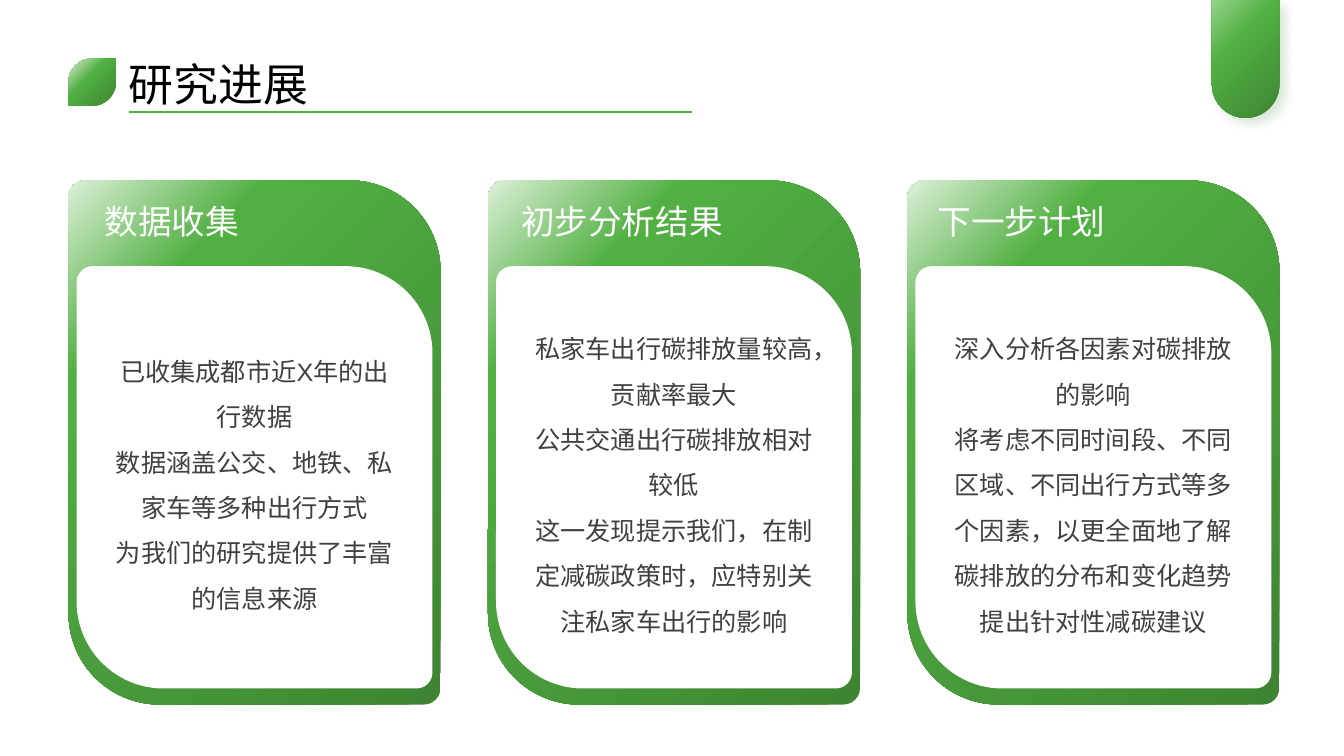
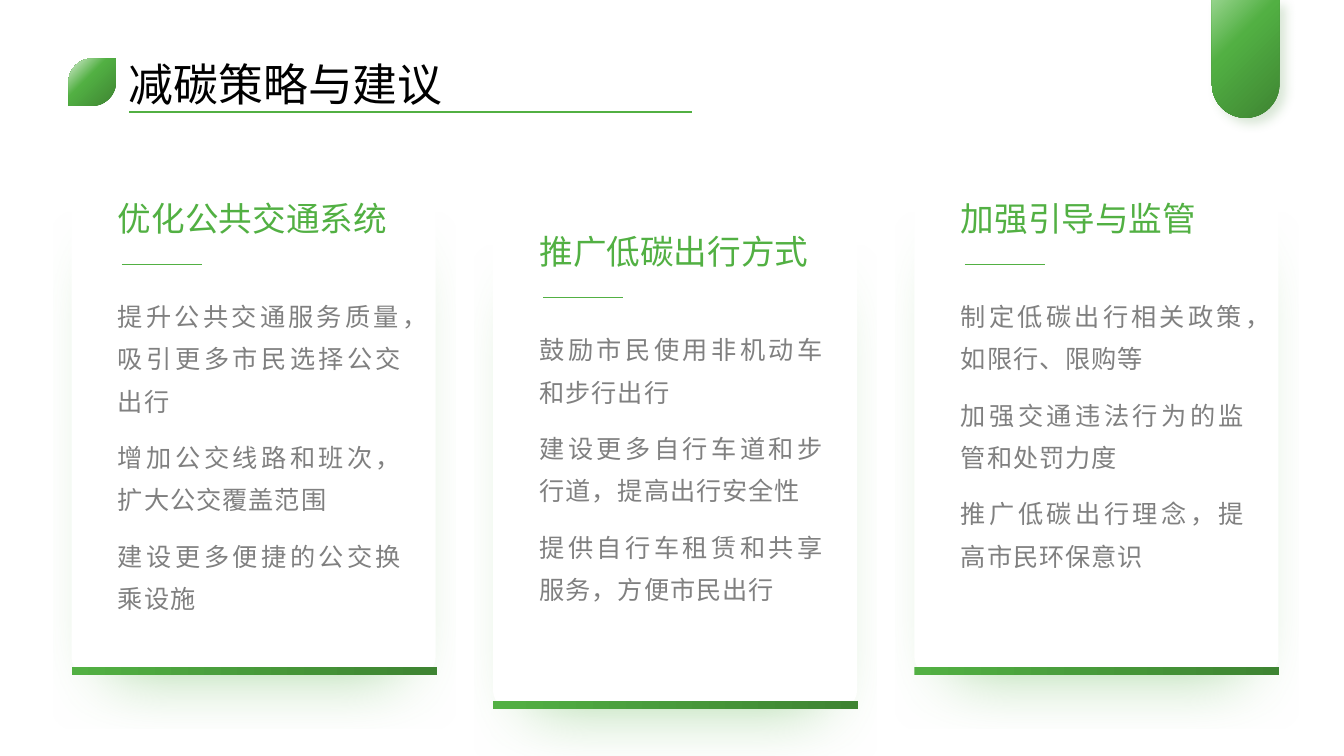
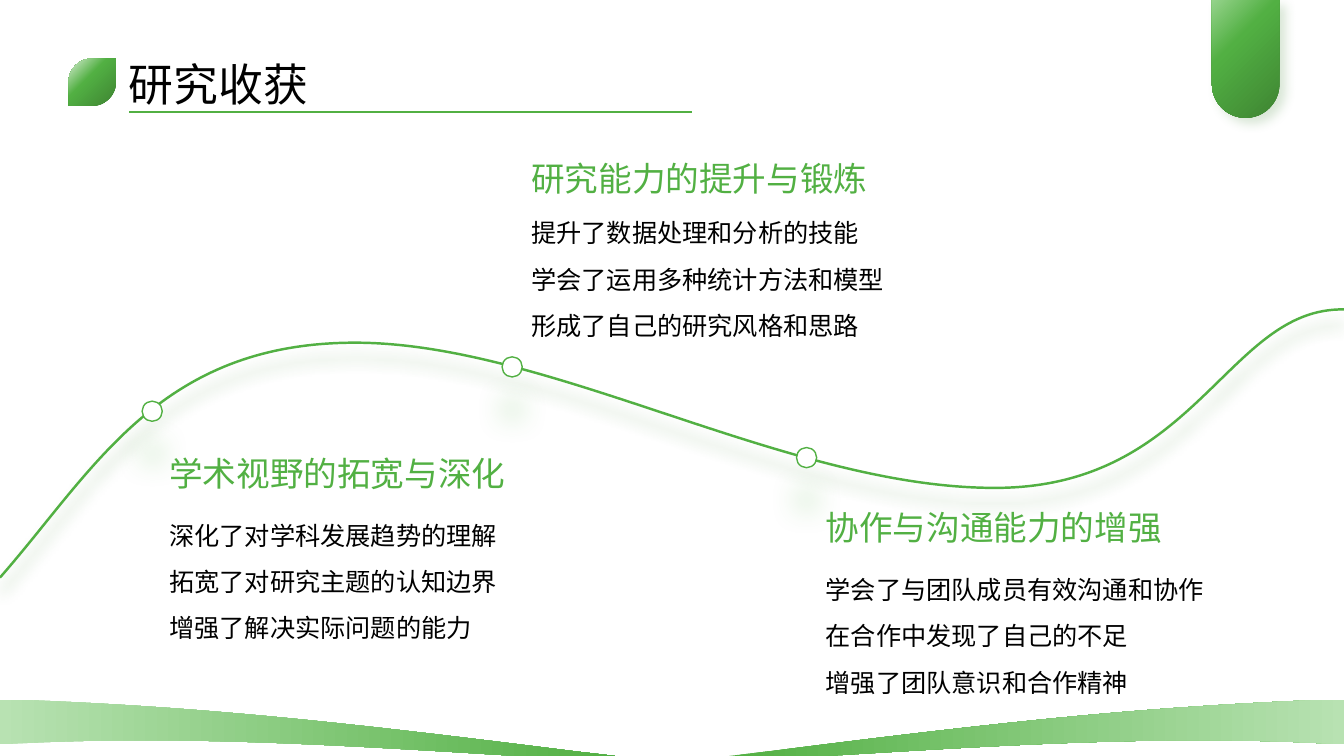
import pptx
import pptx.util
import pptx.dml.color
import pptx.enum.lang
import pptx.enum.shapes
import pptx.enum.text
import pptx.oxml
from pptx.oxml.ns import nsdecls, qn

Inches, Pt = pptx.util.Inches, pptx.util.Pt
SHAPE = pptx.enum.shapes.MSO_SHAPE
ALIGN = pptx.enum.text.PP_ALIGN
ANCHOR = pptx.enum.text.MSO_ANCHOR

FONT = "Arial"
SLIDE_W, SLIDE_H = 13.33, 7.5
COLORS = {
    "green": "52B043", "dark": "3E8432", "pale": "DCF0D8", "light": "95D38B",
    "mist": "B8E2B2", "white": "FFFFFF", "black": "000000",
    "body": "404040", "grey": "808080",
}

PROGRESS = ("研究进展", [
    ("数据收集", ["已收集成都市近X年的出行数据",
              "数据涵盖公交、地铁、私家车等多种出行方式",
              "为我们的研究提供了丰富的信息来源"]),
    ("初步分析结果", ["私家车出行碳排放量较高，贡献率最大",
                "公共交通出行碳排放相对较低",
                "这一发现提示我们，在制定减碳政策时，应特别关注私家车出行的影响"]),
    ("下一步计划", ["深入分析各因素对碳排放的影响",
               "将考虑不同时间段、不同区域、不同出行方式等多个因素，"
               "以更全面地了解碳排放的分布和变化趋势",
               "提出针对性减碳建议"]),
])
STRATEGY = ("减碳策略与建议", [
    ("优化公共交通系统", ["提升公共交通服务质量，吸引更多市民选择公交出行",
                  "增加公交线路和班次，扩大公交覆盖范围",
                  "建设更多便捷的公交换乘设施"]),
    ("推广低碳出行方式", ["鼓励市民使用非机动车和步行出行",
                  "建设更多自行车道和步行道，提高出行安全性",
                  "提供自行车租赁和共享服务，方便市民出行"]),
    ("加强引导与监管", ["制定低碳出行相关政策，如限行、限购等",
                 "加强交通违法行为的监管和处罚力度",
                 "推广低碳出行理念，提高市民环保意识"]),
])
# heading, lines, left, heading top, body top
GAINS = ("研究收获", [
    ("学术视野的拓宽与深化", ["深化了对学科发展趋势的理解", "拓宽了对研究主题的认知边界",
                    "增强了解决实际问题的能力"], 1.58, 4.44, 5.02),
    ("协作与沟通能力的增强", ["学会了与团队成员有效沟通和协作", "在合作中发现了自己的不足",
                    "增强了团队意识和合作精神"], 8.09, 4.98, 5.56),
    ("研究能力的提升与锻炼", ["提升了数据处理和分析的技能", "学会了运用多种统计方法和模型",
                    "形成了自己的研究风格和思路"], 5.17, 1.52, 2.02),
])
# x, dot centre, far and near end of the fading stem
MILESTONES = [(8, 4.54, 5.28, 4.62), (5.08, 3.64, 2.9, 3.56), (1.51, 4.08, 4.81, 4.16)]

# Outlines: a pair is a straight step, a triple of pairs is a Bézier step
JOURNEY = [(0, 5.73),
           ((0.93, 4.67), (1.57, 3.41), (3.5, 3.4)),
           ((5.43, 3.39), (7.76, 4.82), (9.82, 4.84)),
           ((11.87, 4.87), (12.16, 3.05), (13.33, 3.07))]
WAVE = [(0, 6.94), (0.15, 6.94),
        ((1.95, 7.01), (3.3, 7.15), (5.67, 7.45)),
        (6.1, 7.5), (5.15, 7.5), (4.96, 7.49),
        ((3.33, 7.39), (1.7, 7.29), (0.11, 7.38)), (0, 7.38)]


def rgb(name):
    return pptx.dml.color.RGBColor.from_string(COLORS[name])


def gradient(sp, stops, radial=True):
    """Fill with (percent, colour) stops, from the top left corner or left to right."""
    marks = "".join(
        f'<a:gs pos="{pos * 1000}"><a:srgbClr val="{COLORS[c]}"/></a:gs>' for pos, c in stops)
    way = ('<a:path path="circle"><a:fillToRect r="100000" b="100000"/></a:path>'
           if radial else '<a:lin ang="0" scaled="0"/>')
    sp.fill.background()
    spPr = sp._element.spPr
    spPr.replace(spPr.find(qn("a:noFill")), pptx.oxml.parse_xml(
        f'<a:gradFill {nsdecls("a")} rotWithShape="1"><a:gsLst>{marks}</a:gsLst>{way}</a:gradFill>'))


def cast_shadow(sp, color, alpha, blur, dist, angle, scale=100):
    sp._element.spPr.find(qn("a:effectLst")).append(pptx.oxml.parse_xml(
        f'<a:outerShdw {nsdecls("a")} blurRad="{Pt(blur)}" dist="{Pt(dist)}" dir="{angle * 60000}" '
        f'sx="{scale * 1000}" sy="{scale * 1000}" algn="ctr" rotWithShape="0">'
        f'<a:srgbClr val="{COLORS[color]}"><a:alpha val="{alpha * 1000}"/></a:srgbClr></a:outerShdw>'))


def paint(sp, fill=None, line=None, width=1):
    """Fill with a colour name or a list of radial stops; no line unless named."""
    sp.shadow.inherit = False
    if isinstance(fill, list):
        gradient(sp, fill)
    elif fill:
        sp.fill.solid()
        sp.fill.fore_color.rgb = rgb(fill)
    else:
        sp.fill.background()
    if line:
        sp.line.color.rgb = rgb(line)
        sp.line.width = Pt(width)
    else:
        sp.line.fill.background()
    return sp


def add_shape(s, kind, x, y, w, h, fill, adj=(), **line):
    sp = s.shapes.add_shape(kind, Inches(x), Inches(y), Inches(w), Inches(h))
    for i, value in enumerate(adj):
        sp.adjustments[i] = value
    return paint(sp, fill, **line)


def add_line(s, x1, y1, x2, y2, width):
    line = s.shapes.add_connector(pptx.enum.shapes.MSO_CONNECTOR.STRAIGHT,
                                  Inches(x1), Inches(y1), Inches(x2), Inches(y2))
    line.line.color.rgb = rgb("green")
    line.line.width = Pt(width)
    line._element.spPr.append(pptx.oxml.parse_xml(f'<a:effectLst {nsdecls("a")}/>'))
    return line


def fade(line):
    """Let a vertical line run from clear at its start to green at its end."""
    ln = line._element.spPr.find(qn("a:ln"))
    green = COLORS["green"]
    ln.replace(ln.find(qn("a:solidFill")), pptx.oxml.parse_xml(
        f'<a:gradFill {nsdecls("a")}><a:gsLst>'
        f'<a:gs pos="0"><a:srgbClr val="{green}"><a:alpha val="0"/></a:srgbClr></a:gs>'
        f'<a:gs pos="100000"><a:srgbClr val="{green}"/></a:gs>'
        f'</a:gsLst><a:lin ang="5400000" scaled="0"/></a:gradFill>'))


def is_curve(step):
    return isinstance(step[0], tuple)


def add_outline(s, steps, closed):
    """Build a freeform through all points, then join each curve's three steps."""
    points = [p for step in steps for p in (step if is_curve(step) else (step,))]
    emu = [(Inches(x), Inches(y)) for x, y in points]
    builder = s.shapes.build_freeform(*emu[0], scale=1.0)
    builder.add_line_segments(emu[1:], close=closed)
    sp = builder.convert_to_shape()
    lines = iter(list(sp._element.iter(qn("a:lnTo"))))
    for step in steps[1:]:
        first = next(lines)
        if is_curve(step):
            curve = pptx.oxml.parse_xml(f'<a:cubicBezTo {nsdecls("a")}/>')
            first.addprevious(curve)
            for segment in (first, next(lines), next(lines)):
                curve.append(segment[0])
                segment.getparent().remove(segment)
    return sp


def write(sp, lines, size, color, align=ALIGN.LEFT, spacing=None, before=0, tracking=0):
    tf = sp.text_frame
    tf.text = "\n".join(lines)
    for i, p in enumerate(tf.paragraphs):
        p.alignment = align
        if spacing:
            p.line_spacing = spacing
        if before and i:
            p.space_before = Pt(before)
        for r in p.runs:
            r.font.size = Pt(size)
            r.font.name = FONT
            r.font.color.rgb = rgb(color)
            r.font.language_id = pptx.enum.lang.MSO_LANGUAGE_ID.SIMPLIFIED_CHINESE
            if tracking:
                r._r.get_or_add_rPr().set("spc", str(round(tracking * 100)))


def add_text(s, x, y, w, h, lines, size, color, anchor=ANCHOR.TOP, inset=True, wrap=True, **style):
    box = s.shapes.add_textbox(Inches(x), Inches(y), Inches(w), Inches(h))
    tf = box.text_frame
    tf.word_wrap = wrap
    tf.vertical_anchor = anchor
    if not inset:
        tf.margin_left = tf.margin_right = tf.margin_top = tf.margin_bottom = 0
    write(box, lines, size, color, **style)


def new_slide(prs, title):
    """Add a slide with the tab, leaf, rule and title that all slides share."""
    s = prs.slides.add_slide(prs.slide_layouts[6])
    tab = add_shape(s, SHAPE.ROUND_2_SAME_RECTANGLE, 12.02, 0, 0.67, 1.17,
                    [(0, "light"), (35, "green"), (100, "dark")], (0, 0.5))
    cast_shadow(tab, "dark", 20, 8, 6, 45)
    add_shape(s, SHAPE.ROUND_2_DIAG_RECTANGLE, 0.68, 0.58, 0.47, 0.47,
              [(0, "pale"), (41, "green"), (100, "dark")], (0.5, 0))
    add_line(s, 1.28, 1.11, 6.86, 1.11, 1)
    add_text(s, 1.18, 0.51, 10.54, 0.64, [title], 32, "black", ANCHOR.MIDDLE)
    return s


def progress_slide(prs):
    title, cards = PROGRESS
    s = new_slide(prs, title)
    corners = (0.045, 0.245)
    for i, (heading, lines) in enumerate(cards):
        x = 0.68 + i * 4.16
        add_shape(s, SHAPE.ROUND_2_DIAG_RECTANGLE, x, 1.79, 3.69, 5.2,
                  [(0, "pale"), (22, "green"), (100, "dark")], corners)
        panel = add_shape(s, SHAPE.ROUND_2_DIAG_RECTANGLE, x + 0.08, 2.64, 3.53, 4.19,
                          "white", corners)
        panel.text_frame.vertical_anchor = ANCHOR.MIDDLE
        panel.text_frame.word_wrap = True
        write(panel, lines, 18, "body", ALIGN.CENTER, 1.5)
        add_text(s, 0.94 + i * 4.13, 1.94, 3.07, 0.5, [heading], 24, "white")


def strategy_slide(prs):
    title, cards = STRATEGY
    s = new_slide(prs, title)
    for i, (heading, lines) in enumerate(cards):
        x = 0.71 + i * 4.18
        y = 1.66 + (i % 2) * 0.33
        card = add_shape(s, SHAPE.ROUNDED_RECTANGLE, x, y, 3.61, 5.03, "white", (0.046,))
        cast_shadow(card, "green", 50, 49, 35, 90, scale=80)
        add_text(s, x + 0.46, y + 1.21, 2.82, 3.2, lines, 18, "grey", inset=False,
                 align=ALIGN.JUSTIFY, spacing=1.4, before=10, tracking=0.7)
        bar = add_shape(s, SHAPE.ROUNDED_RECTANGLE, x, y + 4.96, 3.62, 0.08, "green", (0,))
        gradient(bar, [(0, "green"), (100, "dark")], radial=False)
        add_text(s, x + 0.46, y + 0.18, 2.69, 0.47, [heading], 24, "green",
                 inset=False, wrap=False, spacing=1.3)
        add_line(s, x + 0.5, y + 0.96, x + 1.29, y + 0.96, 0.5)


def mirror(step):
    if is_curve(step):
        return tuple(mirror(point) for point in step)
    return SLIDE_W - step[0], step[1]


def gains_slide(prs):
    title, gains = GAINS
    s = new_slide(prs, title)
    journey = paint(add_outline(s, JOURNEY, False), line="green", width=1.75)
    cast_shadow(journey, "dark", 40, 10, 10, 90)
    for x, y, far, near in MILESTONES:
        fade(add_line(s, x, far, x, near, 1.25))
        dot = add_shape(s, SHAPE.OVAL, x - 0.1, y - 0.1, 0.2, 0.2, "white", line="green")
        cast_shadow(dot, "green", 26, 20, 30, 90)
    for heading, lines, x, heading_y, body_y in gains:
        add_text(s, x, heading_y, 3.85, 0.5, [heading], 24, "green")
        add_text(s, x, body_y, 4.89, 1.4, lines, 18, "black", spacing=1.3, before=5)
    right_wave = [mirror(step) for step in WAVE]
    for steps, start, end in ((WAVE, "mist", "green"), (right_wave, "green", "mist")):
        wave = paint(add_outline(s, steps, True))
        gradient(wave, [(0, start), (100, end)], radial=False)


def main():
    prs = pptx.Presentation()
    prs.slide_width, prs.slide_height = Inches(SLIDE_W), Inches(SLIDE_H)
    progress_slide(prs)
    strategy_slide(prs)
    gains_slide(prs)
    prs.save("out.pptx")


if __name__ == "__main__":
    main()
